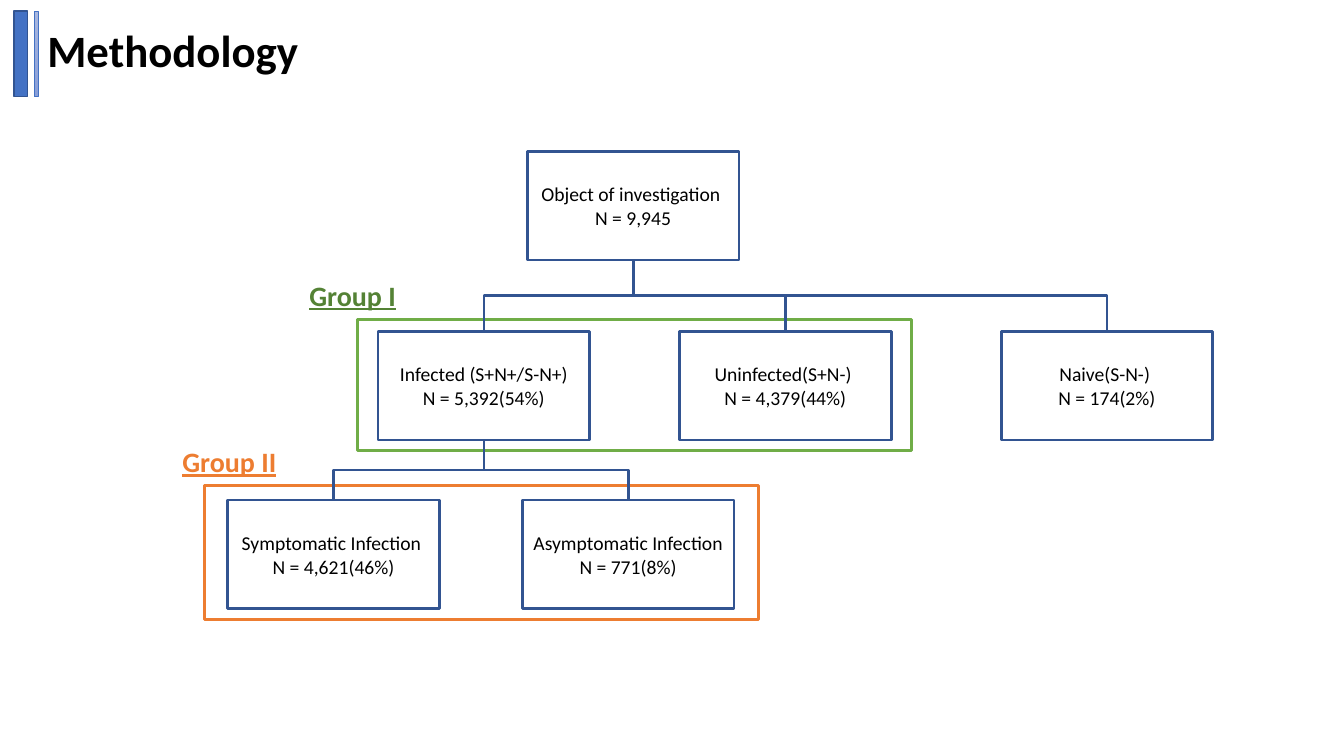
from dataclasses import dataclass

import pptx
import pptx.dml.color
import pptx.enum.dml
import pptx.enum.shapes
import pptx.enum.text
import pptx.oxml
import pptx.oxml.ns
import pptx.util

RGBColor = pptx.dml.color.RGBColor
BLACK = RGBColor(0x00, 0x00, 0x00)
NAVY = RGBColor(0x32, 0x54, 0x91)
BLUE = RGBColor(0x44, 0x72, 0xC4)
PALE_BLUE = RGBColor(0xA8, 0xB7, 0xDF)
SOFT_BLUE = RGBColor(0x88, 0x9E, 0xD7)
GREEN = RGBColor(0x70, 0xAD, 0x47)
DARK_GREEN = RGBColor(0x54, 0x82, 0x35)
ORANGE = RGBColor(0xED, 0x7D, 0x31)

FONT = "Calibri"
SLIDE_WIDTH = pptx.util.Inches(13.33)
SLIDE_HEIGHT = pptx.util.Inches(7.5)

# Tree boxes share one size; each level has one top (percent of the slide)
BOX_WIDTH, BOX_HEIGHT = 15.75, 14.4
LEVEL_TOPS = (20, 43.8, 66.13)


@dataclass(frozen=True)
class Area:
    """A rectangle in percent of the slide's width and height."""
    left: float
    top: float
    width: float
    height: float

    def lengths(self) -> tuple[int, int, int, int]:
        return (int(SLIDE_WIDTH * self.left / 100), int(SLIDE_HEIGHT * self.top / 100),
                int(SLIDE_WIDTH * self.width / 100), int(SLIDE_HEIGHT * self.height / 100))


@dataclass(frozen=True)
class Node:
    lines: tuple[str, str]
    left: float
    level: int
    parent: str = ""


@dataclass(frozen=True)
class Group:
    name: str
    label: Area
    label_color: RGBColor
    frame: Area
    frame_color: RGBColor


NODES = {
    "all": Node(("Object of investigation ", "N = 9,945"), 39.23, 0),
    "infected": Node(("Infected (S+N+/S-N+)", "N = 5,392(54%)"), 28.13, 1, "all"),
    "uninfected": Node(("Uninfected(S+N-) ", "N = 4,379(44%)"), 50.56, 1, "all"),
    "naive": Node(("Naive(S-N-) ", "N = 174(2%)"), 74.49, 1, "all"),
    "symptomatic": Node(("Symptomatic Infection ", "N = 4,621(46%)"), 16.95, 2, "infected"),
    "asymptomatic": Node(("Asymptomatic Infection ", "N = 771(8%)"), 38.86, 2, "infected"),
}
GROUPS = (
    Group("Group I", Area(22.28, 36.13, 9.3, 5.87), DARK_GREEN,
          Area(26.63, 42.27, 41.19, 17.33), GREEN),
    Group("Group II", Area(12.83, 58.13, 9.98, 5.87), ORANGE,
          Area(15.23, 64.27, 41.19, 17.73), ORANGE),
)
TITLE = Area(2.78, 1.73, 86.27, 10.67)
WIDE_BAR = Area(1.05, 1.47, 0.98, 11.33)
THIN_BAR = Area(2.55, 1.47, 0.3, 11.33)


def add_rectangle(page, area: Area, line_color: RGBColor, line_width: float = 2):
    box = page.shapes.add_shape(pptx.enum.shapes.MSO_SHAPE.RECTANGLE, *area.lengths())
    box.shadow.inherit = False
    box.fill.background()
    box.line.color.rgb = line_color
    box.line.width = pptx.util.Pt(line_width)
    return box


def style_font(font, size: float, color: RGBColor = BLACK, bold: bool = False) -> None:
    font.name, font.size, font.bold = FONT, pptx.util.Pt(size), bold
    font.color.rgb = color


def add_label(page, area: Area, text: str, size: float, color: RGBColor, wrap: bool):
    frame = page.shapes.add_textbox(*area.lengths()).text_frame
    frame.word_wrap = wrap
    frame.text = text
    style_font(frame.paragraphs[0].font, size, color, bold=True)
    return frame


def node_area(node: Node) -> Area:
    return Area(node.left, LEVEL_TOPS[node.level], BOX_WIDTH, BOX_HEIGHT)


def add_node(page, node: Node) -> None:
    frame = add_rectangle(page, node_area(node), NAVY).text_frame
    frame.word_wrap = True
    frame.vertical_anchor = pptx.enum.text.MSO_ANCHOR.MIDDLE
    frame.text = "\n".join(node.lines)
    for para in frame.paragraphs:
        para.alignment = pptx.enum.text.PP_ALIGN.CENTER
        style_font(para.font, 14)


def add_branch(page, parent: Node, child: Node) -> None:
    """Draw an elbow from the parent's bottom centre to the child's top centre."""
    left, top, width, height = node_area(parent).lengths()
    child_left, child_top, _, _ = node_area(child).lengths()
    start_x, start_y = left + width // 2, top + height
    end_x = child_left + width // 2
    drop, reach = child_top - start_y, abs(end_x - start_x)

    # The elbow is laid out sideways around its centre, then turned upright
    near = (start_x + end_x - drop) // 2
    far = near + drop
    upper = (start_y + child_top - reach) // 2
    goes_right = end_x > start_x
    begin, end = (far, near) if goes_right else (near, far)
    line = page.shapes.add_connector(pptx.enum.shapes.MSO_CONNECTOR.ELBOW,
                                     begin, upper, end, upper + reach)
    properties = line._element.spPr
    properties.xfrm.rot = 270 if goes_right else 90
    line.line.color.rgb = NAVY
    line.line.width = pptx.util.Pt(2)
    properties.append(pptx.oxml.parse_xml(
        f"<a:effectLst {pptx.oxml.ns.nsdecls('a')}/>"))


def main() -> None:
    deck = pptx.Presentation()
    deck.slide_width, deck.slide_height = SLIDE_WIDTH, SLIDE_HEIGHT
    page = deck.slides.add_slide(deck.slide_layouts[6])

    # Title
    title = add_label(page, TITLE, "Methodology", 32, BLACK, wrap=True)
    title.vertical_anchor = pptx.enum.text.MSO_ANCHOR.MIDDLE
    title.paragraphs[0].line_spacing = 0.9

    # Tree boxes
    for node in NODES.values():
        add_node(page, node)

    # Group frames and labels
    for group in GROUPS:
        add_rectangle(page, group.frame, group.frame_color)
        label = add_label(page, group.label, group.name, 20, group.label_color, wrap=False)
        label.paragraphs[0].font.underline = True

    # Branches
    for node in NODES.values():
        if node.parent:
            add_branch(page, NODES[node.parent], node)

    # Bars beside the title
    wide_bar = add_rectangle(page, WIDE_BAR, NAVY, 1)
    wide_bar.fill.solid()
    wide_bar.fill.fore_color.rgb = BLUE
    thin_bar = add_rectangle(page, THIN_BAR, BLUE, 0.5)
    thin_bar.fill.gradient()
    thin_bar.fill.gradient_angle = 270
    for stop, color in zip(thin_bar.fill.gradient_stops, (PALE_BLUE, SOFT_BLUE)):
        stop.color.rgb = color

    deck.save("out.pptx")


if __name__ == "__main__":
    main()
